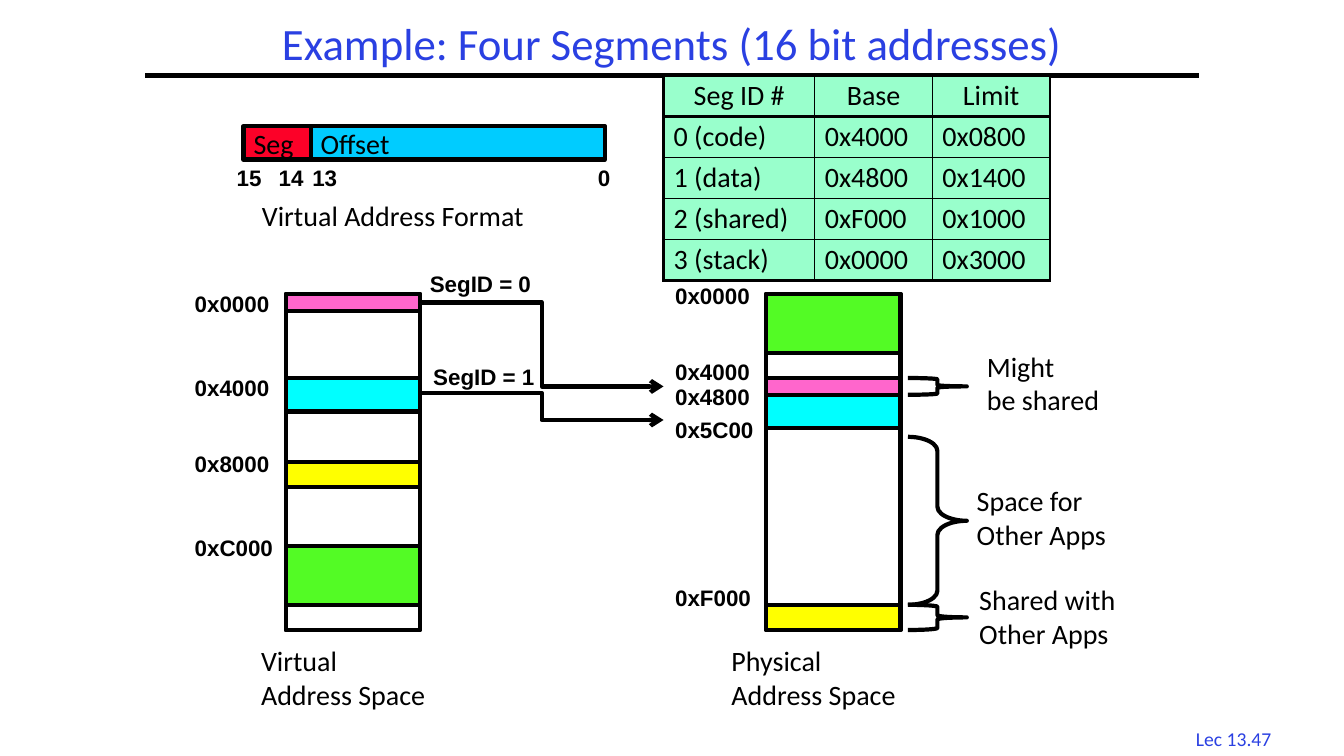
from lxml.etree import SubElement
from pptx import Presentation
from pptx.dml.color import RGBColor
from pptx.enum.shapes import MSO_CONNECTOR as Conn, MSO_SHAPE as Shape
from pptx.enum.text import MSO_ANCHOR as Anchor, PP_ALIGN as Align
from pptx.oxml import parse_xml
from pptx.oxml.ns import nsdecls, qn
from pptx.util import Inches, Pt

BLACK = RGBColor(0x00, 0x00, 0x00)
BLUE = RGBColor(0x2A, 0x40, 0xE2)
RED = RGBColor(0xFC, 0x01, 0x28)
SKY = RGBColor(0x00, 0xCC, 0xFF)
MINT = RGBColor(0x99, 0xFF, 0xCC)
PINK = RGBColor(0xFF, 0x66, 0xCC)
CYAN = RGBColor(0x00, 0xFF, 0xFF)
GREEN = RGBColor(0x53, 0xFB, 0x25)
YELLOW = RGBColor(0xFF, 0xFF, 0x00)


def grid(*cells):
    """Turn grid units, twelve to the inch, into lengths."""
    return [Inches(cell / 12) for cell in cells]


def style(para, size=20, face="Calibri", color=BLACK, bold=False):
    """Set the font of a paragraph."""
    font = para.font
    font.size, font.name, font.bold = Pt(size), face, bold
    font.color.rgb = color


def write(slide, text, box, **look):
    """Place lines of text in a box."""
    frame = slide.shapes.add_textbox(*grid(*box)).text_frame
    frame.word_wrap = False
    frame.text = text
    for para in frame.paragraphs:
        para.alignment = Align.LEFT
        style(para, **look)


def label(slide, text, box):
    """Place a small bold label."""
    write(slide, text, box, size=16, face="Arial", bold=True)


def draw(slide, kind, box, fill=None):
    """Draw a black-edged shape, filled if a colour is given."""
    shape = slide.shapes.add_shape(kind, *grid(*box))
    shape.shadow.inherit = False
    shape.line.color.rgb = BLACK
    shape.line.width = Pt(3)
    if fill is None:
        shape.fill.background()
    else:
        shape.fill.solid()
        shape.fill.fore_color.rgb = fill
    return shape


def link(slide, kind, ends, arrow=False):
    """Draw a black line between two points."""
    line = slide.shapes.add_connector(kind, *grid(*ends))
    line.line.color.rgb = BLACK
    line.line.width = Pt(3)
    props = line._element.spPr
    if arrow:
        SubElement(props.find(qn("a:ln")), qn("a:tailEnd"), type="arrow")
    SubElement(props, qn("a:effectLst"))


def head(slide, box):
    """Fill the title and draw the rule under it."""
    left, top, width, height = box
    title = slide.shapes.title
    title.left, title.top, title.width, title.height = grid(*box)
    frame = title.text_frame
    frame.text = "Example: Four Segments (16 bit addresses)"
    frame.vertical_anchor = Anchor.MIDDLE
    para = frame.paragraphs[0]
    para.alignment, para.line_spacing = Align.CENTER, 0.9
    style(para, 32, color=BLUE)
    rule = top + height
    link(slide, Conn.STRAIGHT, (left - 2.7, rule, left + width + 2.7, rule))


def edge(cell, sides):
    """Give a cell its borders, in points, ahead of its fill."""
    props = cell._tc.get_or_add_tcPr()
    for spot, (side, width) in enumerate(sides.items()):
        props.insert(spot, parse_xml(
            f'<a:ln{side} {nsdecls("a")} w="{Pt(width)}"><a:solidFill>'
            f'<a:srgbClr val="{BLACK}"/></a:solidFill></a:ln{side}>'))


def segments(slide, box):
    """Build the segment table."""
    rows = [("Seg ID #", "Base", "Limit"),
            ("0 (code)", "0x4000", "0x0800"),
            ("1 (data)", "0x4800", "0x1400"),
            ("2 (shared)", "0xF000", "0x1000"),
            ("3 (stack)", "0x0000", "0x3000")]
    table = slide.shapes.add_table(len(rows), 3, *grid(*box)).table
    table.first_row = table.horz_banding = False
    for col, width in zip(table.columns, grid(18, 14, 14)):
        col.width = width
    for r, row in enumerate(rows):
        for c, text in enumerate(row):
            cell = table.cell(r, c)
            cell.text = text
            cell.fill.solid()
            cell.fill.fore_color.rgb = MINT
            para = cell.text_frame.paragraphs[0]
            para.alignment = Align.LEFT if r else Align.CENTER
            para.line_spacing = 0.9
            style(para)
            edge(cell, {"L": 1 if c else 2.25,
                        "R": 2.25 if c == 2 else 1,
                        "T": {0: 2.25, 1: 3}.get(r, 1),
                        "B": {0: 3, 4: 2.25}.get(r, 1)})


def layout(slide, box):
    """Draw the address format with its bit numbers."""
    left, top, width, height = box
    split = 8
    parts = [("Offset", split, width - split, SKY), ("Seg", 0, split, RED)]
    for text, start, span, fill in parts:
        part = draw(slide, Shape.RECTANGLE,
                    (left + start, top, span, height), fill)
        frame = part.text_frame
        frame.text = text
        frame.vertical_anchor = Anchor.MIDDLE
        para = frame.paragraphs[0]
        para.alignment = Align.LEFT
        style(para)
    for text, start, span in [("15", -2, 5.4), ("14", 3, 5.4),
                              ("13", 7, 5.4), ("0", 41, 3.8)]:
        label(slide, text, (left + start, top + height, span, 4.4))
    write(slide, "Virtual Address Format", (left + 1, top + 8, 36.6, 5.2))


def memory(slide, box, bands, marks, name, shift):
    """Draw an address space with bands, addresses and a caption."""
    left, top, width, height = box
    draw(slide, Shape.RECTANGLE, box)
    for start, span, fill in bands:
        draw(slide, Shape.RECTANGLE, (left, top + start, width, span), fill)
    for start, text in marks:
        label(slide, text, (left - 12, top + start, 11.8, 4.4))
    write(slide, f"{name}\nAddress Space",
          (left + shift, top + height + 1, 25.2, 9.2))


def notes(slide, box):
    """Brace the shared and free ranges and name them."""
    left, top, width, _ = box
    for start, span, bend, text, across, down, wide in [
            (17, 20, 0.24, "Space for\nOther Apps", 0, 22, 19.2),
            (10, 2, 0.08, "Might\nbe shared", 1.2, 6, 17.4),
            (37, 3, 0.08, "Shared with\nOther Apps", 0.3, 33.8, 20.2)]:
        brace = draw(slide, Shape.RIGHT_BRACE,
                     (left, top + start, width, span))
        brace.adjustments[0] = bend
        write(slide, text, (left + width + across, top + down, wide, 9.2))


def routes(slide, box):
    """Lead two segments from virtual to physical space."""
    left, top, width, _ = box
    for seg, start, end, across, down in [(0, 1, 11, 0, -3.4),
                                          (1, 11.8, 15, 0.4, 7.6)]:
        link(slide, Conn.ELBOW,
             (left, top + start, left + width, top + end), arrow=True)
        label(slide, f"SegID = {seg}", (left + across, top + down, 14.6, 4.4))


def main():
    """Build and save the slide."""
    deck = Presentation()
    deck.slide_width, deck.slide_height = grid(160, 90)
    slide = deck.slides.add_slide(deck.slide_layouts[5])
    head(slide, (20, 2, 120, 7))
    segments(slide, (79, 9, 46, 24))
    layout(slide, (29, 15, 43, 4))
    memory(slide, (34, 35, 16, 40),
           [(0, 2, PINK), (10, 4, CYAN), (30, 7, GREEN), (30, 10, None),
            (20, 3, YELLOW)],
           [(-1, "0x0000"), (9, "0x4000"), (18, "0x8000"), (28, "0xC000")],
           "Virtual", -4.1)
    memory(slide, (91.2, 35, 16, 40),
           [(10, 2, PINK), (12, 4, CYAN), (0, 7, GREEN), (37, 3, YELLOW)],
           [(-2, "0x0000"), (7, "0x4000"), (10, "0x4800"), (14, "0x5C00"),
            (34, "0xF000")],
           "Physical", -5.3)
    notes(slide, (108.1, 35, 7, 40))
    routes(slide, (50, 35, 29, 40))
    write(slide, "Lec 13.47", (141.2, 85.9, 13, 4), size=14, color=BLUE)
    deck.save("out.pptx")


if __name__ == "__main__":
    main()
